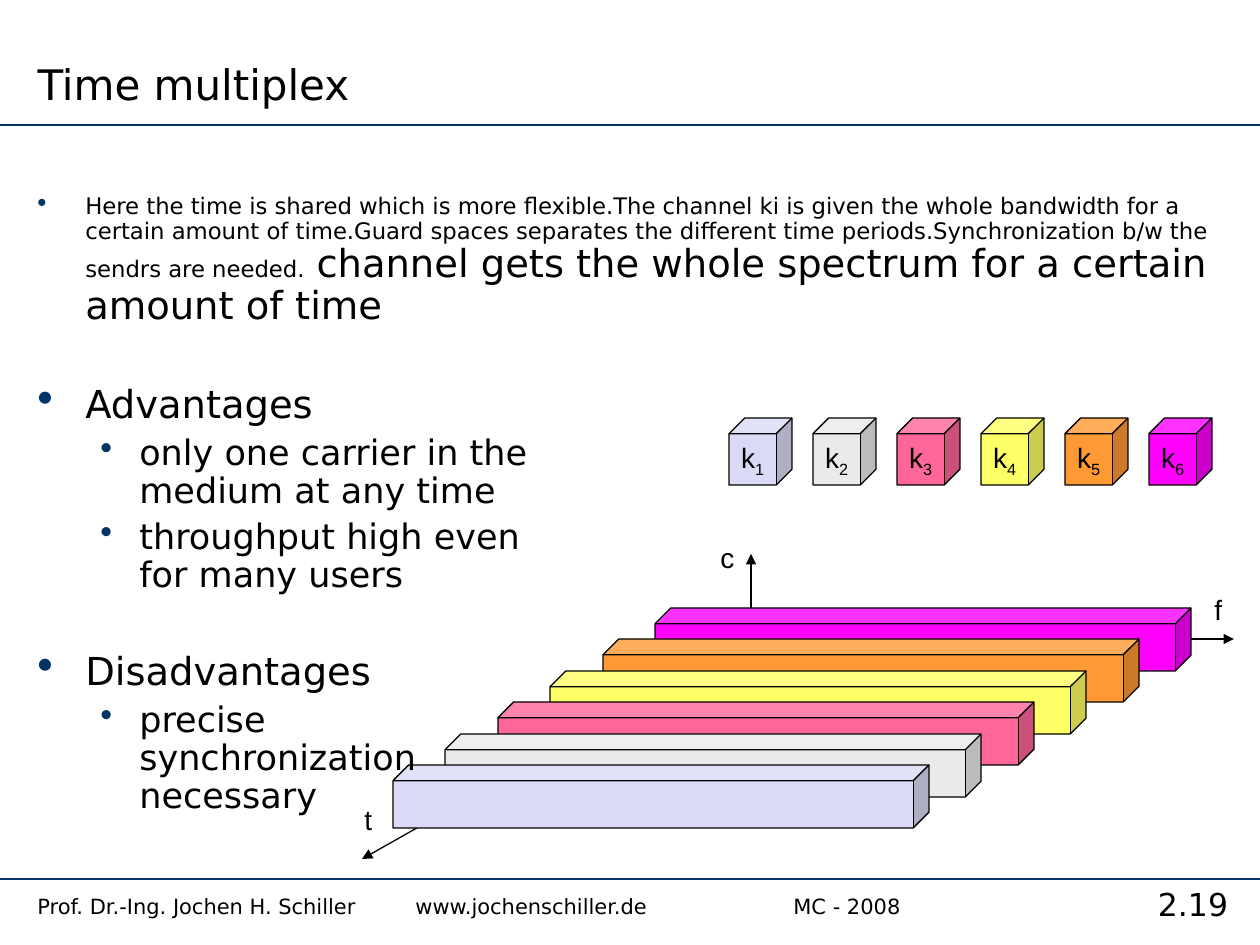
"""Build the time multiplex slide."""
import pptx
import pptx.util
import pptx.dml.color
import pptx.enum.shapes
import pptx.enum.text
import pptx.oxml.ns
from dataclasses import dataclass
from lxml import etree


@dataclass(frozen=True)
class Theme:
    ink: str = "000000"
    navy: str = "003366"
    sans: str = "DejaVu Sans"
    plain: str = "Arial"
    title: int = 24
    main: int = 22
    sub: int = 20
    page: int = 18
    label: int = 16
    note: int = 13
    foot: int = 12


look = Theme()
TITLE = "Time multiplex"
NOTE = (
    "Here the time is shared which is more flexible.The channel ki is given "
    "the whole bandwidth for a certain amount of time.Guard spaces separates "
    "the different time periods.Synchronization b/w the sendrs are needed."
)
GAIN = " channel gets the whole spectrum for a certain amount of time"
POINTS = [
    (0, 0, [(NOTE, look.note), (GAIN, look.main)]),
    (0, 33, [("Advantages", look.main)]),
    (1, 4.8, [("only one carrier in the\nmedium at any time", look.sub)]),
    (1, 4.8, [("throughput high even\nfor many users", look.sub)]),
    (0, 33, [("Disadvantages", look.main)]),
    (1, 4.8, [("precise\nsynchronization\nnecessary", look.sub)]),
]
LEVELS = [(48, -48, 120), (102, -39, 100)]
FOOT = "Prof. Dr.-Ing. Jochen H. Schiller\twww.jochenschiller.de\tMC - 2008"
TABS = [378, 756]
PAGE = "2.19"
HUES = ["DADAF6", "EAEAEA", "FF6699", "FFFF66", "FF9933", "FF00FF"]
ORIGIN = (751, 639)
TIPS = [(362, 859), (751, 554), (1234, 639)]
AXES = [("f", 1202, 586, 33), ("t", 352, 796, 33), ("c", 708, 534, 39)]
RULES = [125, 879]

SCALE = 914400 / 126
ALIGN = pptx.enum.text.PP_ALIGN
ANCHOR = pptx.enum.text.MSO_ANCHOR


def px(n):
    return pptx.util.Emu(round(n * SCALE))


def rgb(hue):
    return pptx.dml.color.RGBColor.from_string(hue)


def node(base, tag, **attrs):
    item = etree.SubElement(base, pptx.oxml.ns.qn(tag))
    for key, val in attrs.items():
        item.set(key, str(val))
    return item


def write(para, text, size, face=look.sans):
    for i, part in enumerate(text.split("\n")):
        if i:
            para.add_line_break()
        run = para.add_run()
        run.text = part
        run.font.size = pptx.util.Pt(size)
        run.font.name = face
        run.font.color.rgb = rgb(look.ink)
    return run


def box(slide, x, y, w, h, wrap=True):
    frame = slide.shapes.add_textbox(px(x), px(y), px(w), px(h)).text_frame
    frame.word_wrap = wrap
    return frame


def line(slide, start, end, hue, width, arrow=False):
    kind = pptx.enum.shapes.MSO_CONNECTOR.STRAIGHT
    link = slide.shapes.add_connector(kind, *map(px, start + end))
    link.line.color.rgb = rgb(hue)
    link.line.width = pptx.util.Pt(width)
    if arrow:
        node(link.line._get_or_add_ln(), "a:tailEnd", type="triangle")
    node(link._element.spPr, "a:effectLst")


def cube(slide, x, y, w, h, hue):
    kind = pptx.enum.shapes.MSO_SHAPE.CUBE
    shape = slide.shapes.add_shape(kind, px(x), px(y), px(w), px(h))
    shape.shadow.inherit = False
    shape.adjustments[0] = 0.25
    shape.fill.solid()
    shape.fill.fore_color.rgb = rgb(hue)
    shape.line.color.rgb = rgb(look.ink)
    shape.line.width = pptx.util.Pt(0.75)
    return shape.text_frame


def bullet(para, level):
    left, hang, size = LEVELS[level]
    props = para._p.get_or_add_pPr()
    props.set("marL", str(px(left)))
    props.set("indent", str(px(hang)))
    node(node(props, "a:buClr"), "a:srgbClr", val=look.navy)
    node(props, "a:buSzPct", val=size * 1000)
    node(props, "a:buChar", char="•")


def head(slide):
    title = slide.shapes.title
    title.left, title.top, title.width, title.height = map(px, (25, 0, 833, 115))
    frame = title.text_frame
    frame.auto_size = pptx.enum.text.MSO_AUTO_SIZE.NONE
    frame.vertical_anchor = ANCHOR.BOTTOM
    para = frame.paragraphs[0]
    para.alignment = ALIGN.LEFT
    write(para, TITLE, look.title)


def body(slide):
    frame = box(slide, 25, 135, 1211, 737)
    frame.margin_top = px(60)
    for i, (level, gap, runs) in enumerate(POINTS):
        para = frame.add_paragraph() if i else frame.paragraphs[0]
        para.level = level
        para.line_spacing = 0.9
        if gap:
            para.space_before = pptx.util.Pt(gap)
        bullet(para, level)
        for text, size in runs:
            write(para, text, size)


def foot(slide):
    para = box(slide, 1126, 879, 134, 50).paragraphs[0]
    para.alignment = ALIGN.CENTER
    write(para, PAGE, look.page)
    para = box(slide, 25, 887, 1101, 42).paragraphs[0]
    stops = node(para._p.get_or_add_pPr(), "a:tabLst")
    for stop in TABS:
        node(stops, "a:tab", pos=px(stop), algn="l")
    write(para, FOOT, look.foot)


def graph(slide):
    for tip in TIPS:
        line(slide, ORIGIN, tip, look.ink, 0.75, True)
    for text, x, y, w in AXES:
        para = box(slide, x, y, w, 47, False).paragraphs[0]
        write(para, text, look.label, look.plain)
    for i, hue in reversed(list(enumerate(HUES))):
        cube(slide, 393 + 105 * i // 2, 765 - 63 * i // 2, 536, 63, hue)
    for i, hue in enumerate(HUES):
        frame = cube(slide, 729 + 84 * i, 418, 63, 67, hue)
        frame.word_wrap = False
        frame.vertical_anchor = ANCHOR.MIDDLE
        para = frame.paragraphs[0]
        para.alignment = ALIGN.CENTER
        write(para, "k", look.label, look.plain)
        low = write(para, str(i + 1), look.label, look.plain)
        low._r.get_or_add_rPr().set("baseline", "-25000")


def main():
    deck = pptx.Presentation()
    deck.slide_width, deck.slide_height = px(1260), px(945)
    slide = deck.slides.add_slide(deck.slide_layouts[5])
    for y in RULES:
        line(slide, (0, y), (1260, y), look.navy, 1)
    foot(slide)
    graph(slide)
    head(slide)
    body(slide)
    deck.save("out.pptx")


if __name__ == "__main__":
    main()
